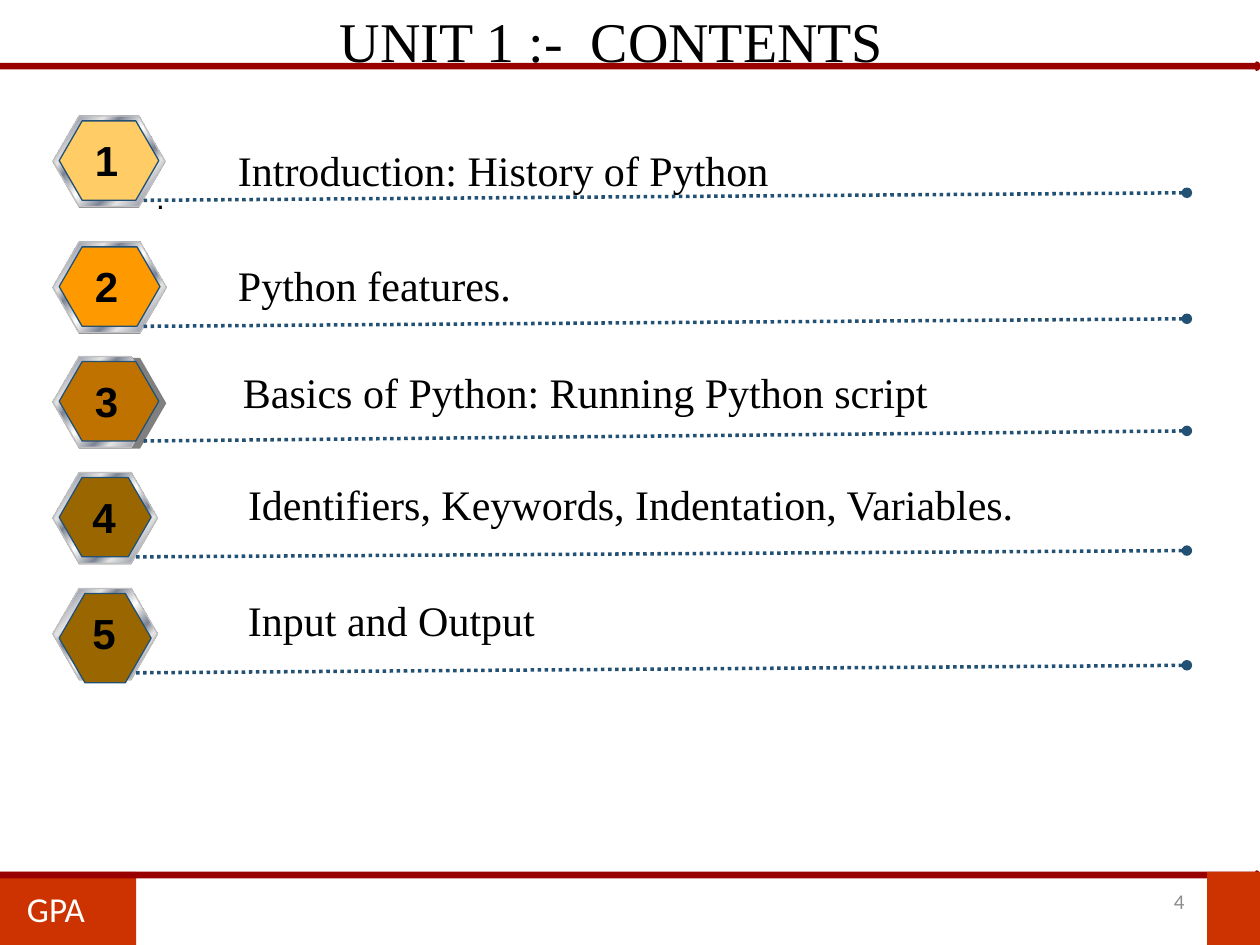
"""Build the contents slide of unit 1."""
from dataclasses import dataclass
from lxml import etree
from pptx import Presentation
from pptx.dml.color import RGBColor
from pptx.enum.dml import MSO_LINE
from pptx.enum.shapes import MSO_CONNECTOR, MSO_SHAPE
from pptx.enum.text import MSO_ANCHOR, MSO_AUTO_SIZE, PP_ALIGN
from pptx.oxml import parse_xml
from pptx.oxml.ns import nsdecls, qn
from pptx.util import Inches, Pt

HEX, RECT, ARROW = MSO_SHAPE.HEXAGON, MSO_SHAPE.RECTANGLE, MSO_SHAPE.RIGHT_ARROW
LEFT, MID, RIGHT = PP_ALIGN.LEFT, PP_ALIGN.CENTER, PP_ALIGN.RIGHT
TOP, CENTRE = MSO_ANCHOR.TOP, MSO_ANCHOR.MIDDLE


@dataclass(frozen=True)
class Theme:
    serif: str = "Times New Roman"
    sans: str = "Arial"
    foot: str = "Calibri"
    head: int = 32
    body: int = 24
    tag: int = 20
    dot: int = 18
    page: int = 12
    ink: str = "000000"
    white: str = "FFFFFF"
    grey: str = "8C8C8C"
    block: str = "CC3300"
    bar: str = "990000"
    core: str = "4F81BD"
    back: str = "808080"
    rim: str = "C0C0C0"
    edge: str = "225174"
    metal: tuple = ((0, "E6E6E6"), (7, "7D8496"), (26, "E6E6E6"), (34, "7D8496"),
                    (46, "E6E6E6"), (50, "FFFFFF"), (54, "E6E6E6"), (66, "7D8496"),
                    (74, "E6E6E6"), (93, "7D8496"), (100, "E6E6E6"))


T = Theme()


def draw(parent, kind, box, fill, line=None, width=0.75):
    shape = parent.shapes.add_shape(kind, *map(Inches, box))
    shape.shadow.inherit = False
    shape.fill.solid()
    shape.fill.fore_color.rgb = RGBColor.from_string(fill)
    if line:
        shape.line.color.rgb = RGBColor.from_string(line)
        shape.line.width = Pt(width)
    else:
        shape.line.fill.background()
    if kind == HEX:
        shape.adjustments[0] = 0.289
    return shape


def write(shape, text, font, size, color=T.ink, align=LEFT, anchor=TOP, bold=False):
    frame = shape.text_frame
    frame.text = text
    frame.word_wrap = True
    frame.auto_size = MSO_AUTO_SIZE.NONE
    frame.vertical_anchor = anchor
    para = frame.paragraphs[0]
    para.alignment = align
    para.font.name, para.font.size, para.font.bold = font, Pt(size), bold
    para.font.color.rgb = RGBColor.from_string(color)
    return frame


deck = Presentation()
deck.slide_width, deck.slide_height = Inches(10), Inches(7.5)
slide = deck.slides.add_slide(deck.slide_layouts[5])

title = slide.shapes.title
title.left, title.top, title.width, title.height = map(Inches, (2.08, 0, 5.55, 0.64))
write(title, "UNIT 1 :-  CONTENTS", T.serif, T.head, align=MID)

foot = 6.92
tag = draw(slide, RECT, (0, foot, 1.08, 0.58), T.block)
write(tag, "GPA", T.foot, T.tag, T.white, MID, CENTRE).margin_right = Inches(0.29)
for y in (foot, 0.5):
    draw(slide, ARROW, (0, y, 10, 0.05), T.core, T.bar, 2)
draw(slide, RECT, (9.58, foot, 0.42, 0.58), T.block)
page = slide.shapes.add_textbox(*map(Inches, (7.17, 6.95, 2.33, 0.4)))
write(page, "4", T.foot, T.page, T.grey, RIGHT, CENTRE)

stops = "".join(f'<a:gs pos="{pos * 1000}"><a:srgbClr val="{tone}"/></a:gs>'
                for pos, tone in T.metal)
metal = (f'<a:gradFill {nsdecls("a")} rotWithShape="1"><a:gsLst>{stops}</a:gsLst>'
         '<a:lin ang="2700000" scaled="1"/></a:gradFill>')

rows = (
    ("Introduction: History of Python", (1.79, 1.1, 7.27),
     0.92, 0.89, 0.89, 0.79, 0.63, "FFCC66", 1.14, 1.53),
    ("Python features.", (1.79, 2.01, 7.48),
     1.92, 0.9, 0.9, 0.8, 0.63, "FF9900", 1.14, 2.53),
    ("Basics of Python: Running Python script", (1.83, 2.86, 5.69),
     2.83, 0.9, 0.83, 0.79, 0.63, "C07200", 1.14, 3.42),
    ("Identifiers, Keywords, Indentation, Variables.", (1.87, 3.75, 6.38),
     3.75, 0.83, 0.83, 0.73, 0.63, "996600", 1.08, 4.37),
    ("Input and Output", (1.87, 4.67, 2.57),
     4.67, 0.83, 0.83, 0.73, 0.71, "996600", 1.08, 5.28),
)
for num, (text, place, top, back, rim, cap, tall, tone, start, end) in enumerate(rows, 1):
    group = slide.shapes.add_group_shape()
    draw(group, HEX, (0.42, top + 0.01, back, 0.72), T.back)
    ring = draw(group, HEX, (0.42, top, rim, 0.72), T.rim, T.rim)
    props = ring.fill._xPr
    props.replace(props.find(qn("a:solidFill")), parse_xml(metal))
    draw(group, HEX, (0.47, top + 0.04, cap, tall), tone, T.edge)

    rule = group.shapes.add_connector(
        MSO_CONNECTOR.STRAIGHT, *map(Inches, (start, top + 0.67, 9.42, end)))
    rule.line.color.rgb = RGBColor.from_string(T.edge)
    rule.line.width = Pt(2)
    rule.line.dash_style = MSO_LINE.ROUND_DOT
    etree.SubElement(rule.line._get_or_add_ln(), qn("a:tailEnd"), type="oval")
    etree.SubElement(rule._element.spPr, qn("a:effectLst"))

    label = group.shapes.add_textbox(*map(Inches, (*place, 0.51)))
    write(label, text, T.serif, T.body)
    digit = group.shapes.add_textbox(
        *map(Inches, (start - 0.49 if start > 1.1 else 0.63, top + 0.1, 0.39, 0.51)))
    frame = write(digit, str(num), T.sans, T.body, align=MID, bold=True)
    frame.margin_left = frame.margin_right = 0

dot = slide.shapes.add_textbox(*map(Inches, (1.14, 1.36, 0.3, 0.4)))
write(dot, ".", T.sans, T.dot, anchor=CENTRE)

deck.save("out.pptx")
